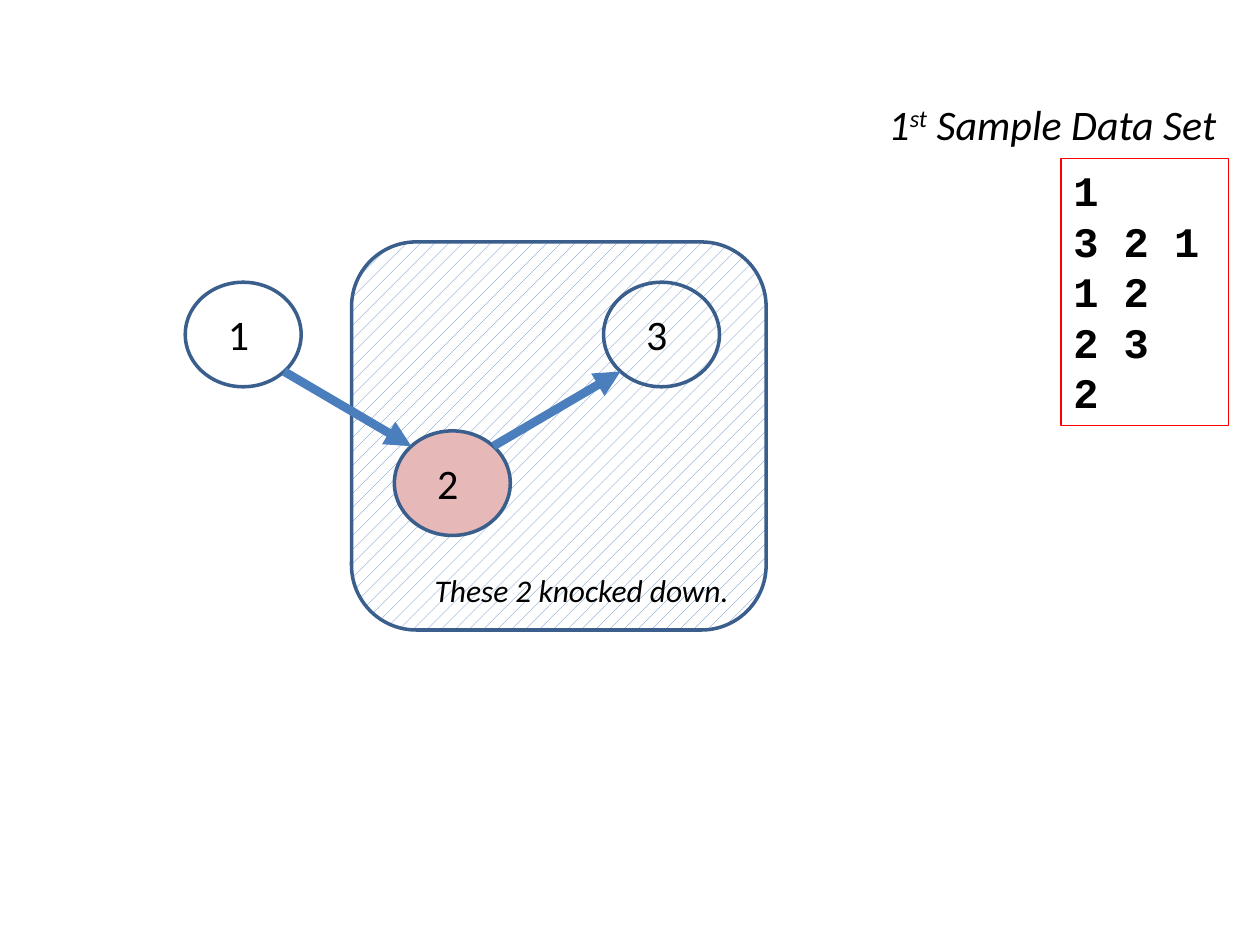
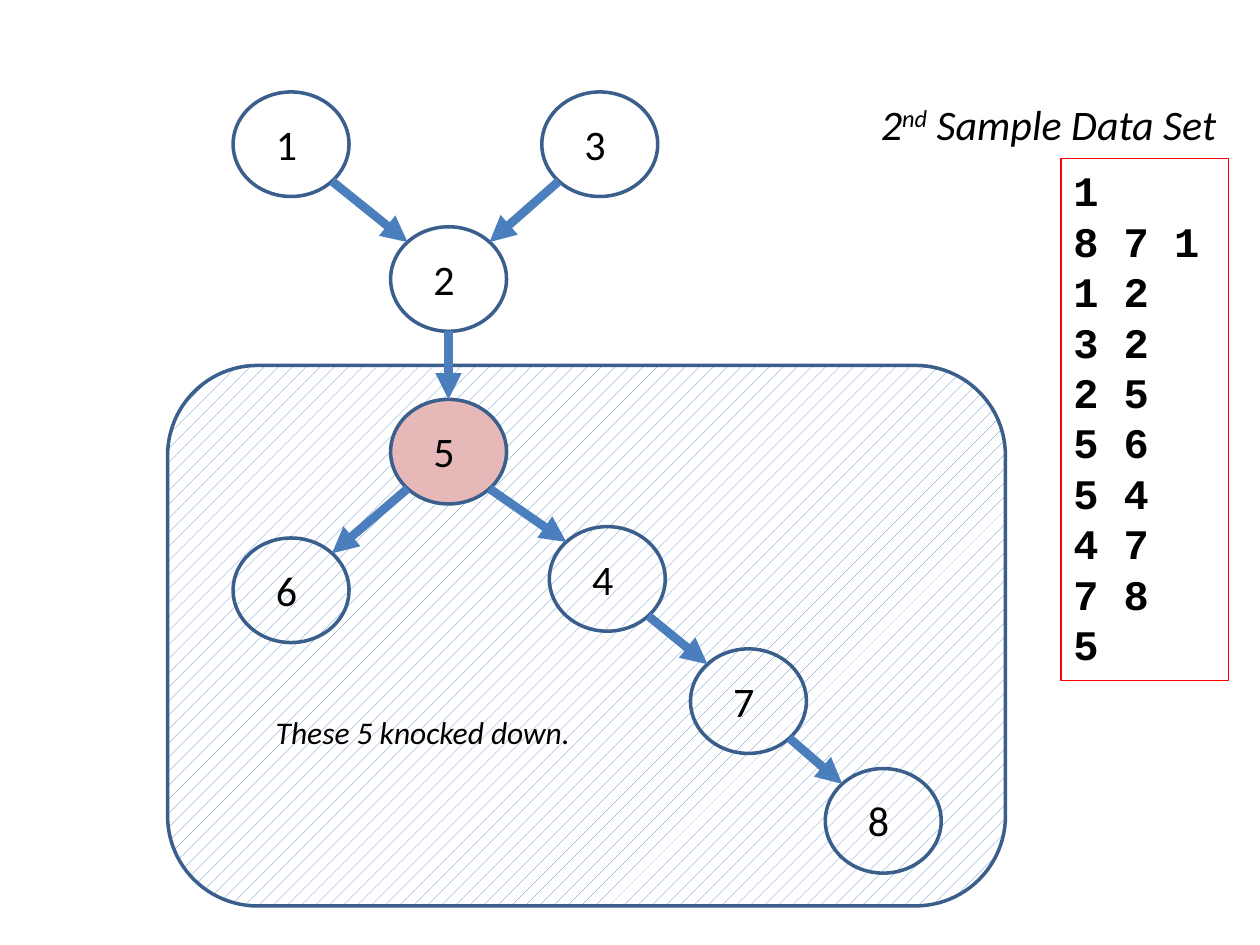
"""Two slides showing domino graphs next to their sample input data."""
import math

import pptx
import pptx.dml.color
import pptx.enum.dml
import pptx.enum.shapes
import pptx.enum.text
import pptx.oxml.ns
import pptx.util
from lxml import etree

Inches = pptx.util.Inches
Pt = pptx.util.Pt
PRESET = pptx.enum.shapes.MSO_SHAPE

COLOURS = {
    "text": "000000",
    "paper": "FFFFFF",
    "outline": "3A5F8C",
    "arrow": "4B7EBC",
    "hatch": "4F81BD",
    "pushed": "E6B9B8",
    "data_border": "FF0000",
}
NODE_W, NODE_H = 0.92, 0.83
DATA_LEFT, DATA_TOP, DATA_W = 8.42, 1.26, 1.33
DATA_LINE_H = 0.404

# Each node gives the left and top of its ellipse.
SAMPLES = [
    {
        "ordinal": ("1", "st"),
        "title_width": 3.08,
        "region": (2.79, 1.92, 3.29, 3.08),
        "nodes": {1: (1.47, 2.24), 3: (4.79, 2.24), 2: (3.13, 3.42)},
        "edges": [(1, 2), (2, 3)],
        "pushed": 2,
        "data": ["1", "3 2 1", "1 2", "2 3", "2"],
        "caption": ("These 2 knocked down.", (3.35, 4.48, 2.65, 0.4)),
    },
    {
        "ordinal": ("2", "nd"),
        "title_width": 2.96,
        "region": (1.33, 2.9, 6.65, 4.29),
        "nodes": {
            1: (1.85, 0.73), 3: (4.3, 0.73), 2: (3.1, 1.8), 5: (3.1, 3.17),
            6: (1.85, 4.27), 4: (4.36, 4.18), 7: (5.48, 5.15), 8: (6.55, 6.1),
        },
        "edges": [(1, 2), (3, 2), (2, 5), (5, 6), (5, 4), (4, 7), (7, 8)],
        "pushed": 5,
        "data": ["1", "8 7 1", "1 2", "3 2", "2 5", "5 6", "5 4", "4 7",
                 "7 8", "5"],
        "caption": ("These 5 knocked down.", (2.09, 5.61, 2.73, 0.4)),
    },
]


def rgb(name):
    """Return the named colour."""
    return pptx.dml.color.RGBColor.from_string(COLOURS[name])


def add_outlined(slide, preset, place, line="outline", weight=2, fill=None):
    """Add a preset shape with a plain outline and an optional solid fill."""
    shape = slide.shapes.add_shape(preset, *map(Inches, place))
    shape.shadow.inherit = False
    shape.line.color.rgb = rgb(line)
    shape.line.width = Pt(weight)
    if fill:
        shape.fill.solid()
        shape.fill.fore_color.rgb = rgb(fill)
    else:
        shape.fill.background()
    return shape


def style_paragraph(paragraph, size=24, face="Calibri", bold=False, italic=False):
    """Set the font of a whole paragraph."""
    font = paragraph.font
    font.name, font.size = face, Pt(size)
    font.bold, font.italic = bold, italic
    font.color.rgb = rgb("text")


def add_text(slide, place, text="", **style):
    """Add a one-paragraph text box and return its paragraph."""
    frame = slide.shapes.add_textbox(*map(Inches, place)).text_frame
    frame.word_wrap = True
    frame.auto_size = pptx.enum.text.MSO_AUTO_SIZE.SHAPE_TO_FIT_TEXT
    paragraph = frame.paragraphs[0]
    paragraph.text = text
    style_paragraph(paragraph, **style)
    return paragraph


def add_region(slide, place):
    """Add the hatched area around the fallen dominoes."""
    region = add_outlined(slide, PRESET.ROUNDED_RECTANGLE, place)
    region.fill.patterned()
    region.fill.pattern = pptx.enum.dml.MSO_PATTERN.PERCENT_10
    region.fill.fore_color.rgb = rgb("hatch")
    region.fill.back_color.rgb = rgb("paper")


def add_node(slide, number, left, top, fill):
    """Add a numbered domino."""
    add_outlined(slide, PRESET.OVAL, (left, top, NODE_W, NODE_H), fill=fill)
    add_text(slide, (left + 0.24, top + 0.16, 0.45, 0.5), str(number))


def rim_point(node, other):
    """Return the point on a node's rim, in 45 degree steps, facing another."""
    dx, dy = other[0] - node[0], other[1] - node[1]
    across = math.copysign(math.sqrt(0.5), dx) if dx else 0
    down = math.copysign(math.sqrt(0.5) if dx else 1, dy)
    return (node[0] + NODE_W / 2 * (1 + across),
            node[1] + NODE_H / 2 * (1 + down))


def add_arrow(slide, source, target):
    """Add an arrow between the rims of two nodes."""
    ends = (*rim_point(source, target), *rim_point(target, source))
    arrow = slide.shapes.add_connector(
        pptx.enum.shapes.MSO_CONNECTOR.STRAIGHT, *map(Inches, ends))
    arrow.line.color.rgb = rgb("arrow")
    arrow.line.width = Pt(5)
    qn = pptx.oxml.ns.qn
    etree.SubElement(arrow.line._get_or_add_ln(), qn("a:tailEnd"), type="triangle")
    etree.SubElement(arrow._element.spPr, qn("a:effectLst"))


def add_data_box(slide, lines):
    """Add the input listing, as tall as its lines need."""
    place = (DATA_LEFT, DATA_TOP, DATA_W, 0.1 + DATA_LINE_H * len(lines))
    box = add_outlined(slide, PRESET.RECTANGLE, place, "data_border", 0.75, "paper")
    frame = box.text_frame
    frame.word_wrap = True
    frame.vertical_anchor = pptx.enum.text.MSO_ANCHOR.TOP
    frame.auto_size = pptx.enum.text.MSO_AUTO_SIZE.SHAPE_TO_FIT_TEXT
    frame.text = "\n".join(lines)
    for paragraph in frame.paragraphs:
        paragraph.alignment = pptx.enum.text.PP_ALIGN.LEFT
        style_paragraph(paragraph, face="Courier New", bold=True)


def add_title(slide, ordinal, width):
    """Add the title, flush right with the data box, with a raised suffix."""
    place = (DATA_LEFT + DATA_W - width, 0.73, width, 0.5)
    title = add_text(slide, place, italic=True)
    title.alignment = pptx.enum.text.PP_ALIGN.RIGHT
    number, suffix = ordinal
    title.add_run().text = number
    raised = title.add_run()
    raised.text = suffix
    raised.font._element.set("baseline", "30000")
    title.add_run().text = " Sample Data Set"


def add_sample(slide, sample):
    """Draw one sample: its graph, input data, caption and title."""
    nodes = sample["nodes"]
    add_region(slide, sample["region"])
    for number, corner in nodes.items():
        fill = "pushed" if number == sample["pushed"] else None
        add_node(slide, number, *corner, fill)
    for source, target in sample["edges"]:
        add_arrow(slide, nodes[source], nodes[target])
    add_data_box(slide, sample["data"])
    caption, place = sample["caption"]
    add_text(slide, place, caption, size=18, italic=True)
    add_title(slide, sample["ordinal"], sample["title_width"])


def main():
    """Build and save the presentation."""
    deck = pptx.Presentation()
    deck.slide_width, deck.slide_height = Inches(10), Inches(7.5)
    for sample in SAMPLES:
        add_sample(deck.slides.add_slide(deck.slide_layouts[6]), sample)
    deck.save("out.pptx")


main()
